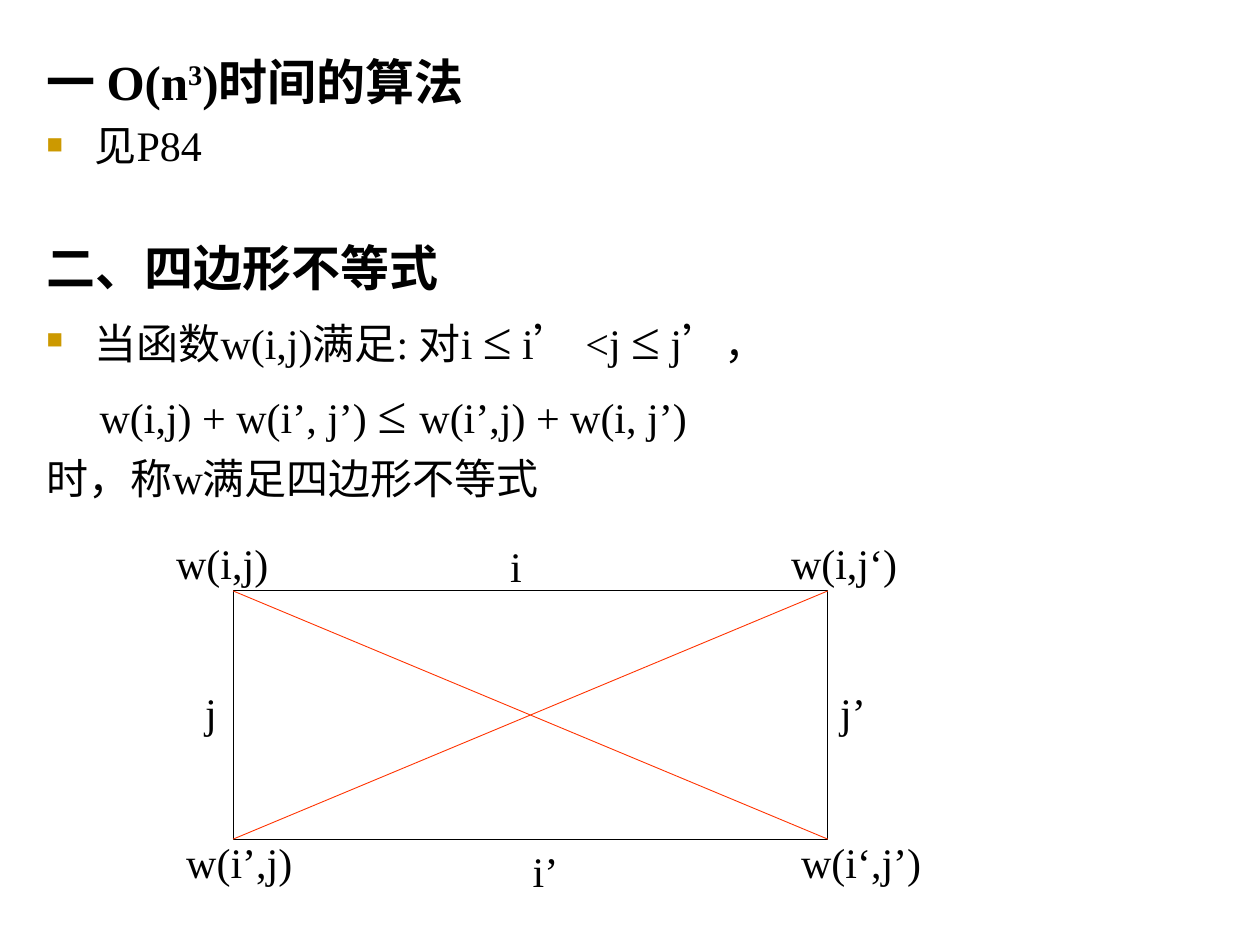
from dataclasses import dataclass

from lxml import etree
from pptx import Presentation
from pptx.dml.color import RGBColor
from pptx.enum.shapes import MSO_CONNECTOR, MSO_SHAPE
from pptx.enum.text import MSO_ANCHOR, MSO_AUTO_SIZE
from pptx.oxml.ns import qn
from pptx.util import Inches, Pt

STRAIGHT = MSO_CONNECTOR.STRAIGHT
RECTANGLE = MSO_SHAPE.RECTANGLE
TOP = MSO_ANCHOR.TOP
NO_FIT = MSO_AUTO_SIZE.NONE
GROW = MSO_AUTO_SIZE.SHAPE_TO_FIT_TEXT


@dataclass(frozen=True)
class Theme:
    font: str = "Times New Roman"
    ink: str = "000000"
    bullet: str = "CC9900"
    diagonal: str = "FF3300"
    heading: int = 28
    text: int = 24
    relation: int = 30
    line: float = 0.5


THEME = Theme()


def add_text(paragraph, text, size=THEME.text, bold=False, superscript=False):
    run = paragraph.add_run()
    run.text = text
    run.font.name = THEME.font
    run.font.size = Pt(size)
    run.font.bold = bold
    run.font.color.rgb = RGBColor.from_string(THEME.ink)
    if superscript:
        run.font._element.set("baseline", "30000")


class SlideBuilder:
    def __init__(self, slide, theme):
        self.slide = slide
        self.theme = theme

    def body(self, left, top, width, height):
        placeholder = self.slide.placeholders[1]
        placeholder.left, placeholder.top = Inches(left), Inches(top)
        placeholder.width, placeholder.height = Inches(width), Inches(height)
        frame = placeholder.text_frame
        frame.word_wrap = True
        frame.auto_size = NO_FIT
        frame.vertical_anchor = TOP
        return frame

    def paragraph(self, frame, runs, before=6, bullet=False, margin=0.38, indent=-0.38):
        first = frame.paragraphs[0]
        paragraph = frame.add_paragraph() if first.runs else first
        properties = paragraph._p.get_or_add_pPr()
        properties.set("marL", str(Inches(margin)))
        properties.set("indent", str(Inches(indent)))
        if bullet:
            color = etree.SubElement(properties, qn("a:buClr"))
            etree.SubElement(color, qn("a:srgbClr"), val=self.theme.bullet)
            etree.SubElement(properties, qn("a:buSzPct"), val="65000")
            etree.SubElement(properties, qn("a:buChar"), char="■")
        else:
            etree.SubElement(properties, qn("a:buNone"))
        paragraph.space_before = Pt(before)
        for text, style in runs:
            add_text(paragraph, text, **style)

    def label(self, text, left, top, width, height=0.5):
        box = self.slide.shapes.add_textbox(
            Inches(left), Inches(top), Inches(width), Inches(height))
        box.text_frame.word_wrap = False
        box.text_frame.auto_size = GROW
        add_text(box.text_frame.paragraphs[0], text)

    def outline(self, left, top, right, bottom):
        shape = self.slide.shapes.add_shape(
            RECTANGLE, Inches(left), Inches(top),
            Inches(right - left), Inches(bottom - top))
        shape.shadow.inherit = False
        shape.fill.background()
        shape.line.color.rgb = RGBColor.from_string(self.theme.ink)
        shape.line.width = Pt(self.theme.line)

    def diagonal(self, start, end):
        connector = self.slide.shapes.add_connector(
            STRAIGHT, *(Inches(value) for value in start + end))
        connector.line.color.rgb = RGBColor.from_string(self.theme.diagonal)
        connector.line.width = Pt(self.theme.line)
        etree.SubElement(connector._element.spPr, qn("a:effectLst"))


def main():
    presentation = Presentation()
    presentation.slide_width, presentation.slide_height = Inches(10), Inches(7.5)
    slide = presentation.slides.add_slide(presentation.slide_layouts[1])
    unused_title = slide.shapes.title._element
    unused_title.getparent().remove(unused_title)
    builder = SlideBuilder(slide, THEME)

    heading = {"size": THEME.heading, "bold": True}
    relation = {"size": THEME.relation}
    body = builder.body(0.27, 0.36, 9.37, 3.94)
    builder.paragraph(body, [
        ("一 O(n", heading), ("3", {**heading, "superscript": True}),
        (")时间的算法", heading)], before=0)
    builder.paragraph(body, [("见P84", {})], before=5, bullet=True)
    builder.paragraph(body, [("二、四边形不等式", heading)], before=39)
    builder.paragraph(body, [
        ("当函数w(i,j)满足: 对i ", {}), ("≤", relation), (" i’ <j ", {}),
        ("≤", relation), (" j’，", {})], bullet=True)
    builder.paragraph(body, [
        ("w(i,j) + w(i’, j’) ", {}), ("≤ ", relation),
        ("w(i’,j) + w(i, j’)", {})], margin=0.42, indent=0)
    builder.paragraph(body, [("时，称w满足四边形不等式", {})], before=5)

    left, top, right, bottom = 1.85, 4.69, 6.57, 6.66
    builder.outline(left, top, right, bottom)
    for text, x, y, width in (
        ("i", 3.95, 4.24, 0.29),
        ("i’", 4.13, bottom, 0.43),
        ("j", 1.53, 5.4, 0.29),
        ("j’", right, 5.4, 0.43),
        ("w(i,j)", 1.3, 4.22, 0.93),
        ("w(i,j‘)", 6.18, 4.22, 1.04),
        ("w(i’,j)", 1.38, 6.59, 1.04),
        ("w(i‘,j’)", 6.26, 6.59, 1.15),
    ):
        builder.label(text, x, y, width)
    builder.diagonal((left, bottom), (right, top))
    builder.diagonal((left, top), (right, bottom))

    presentation.save("out.pptx")


if __name__ == "__main__":
    main()
